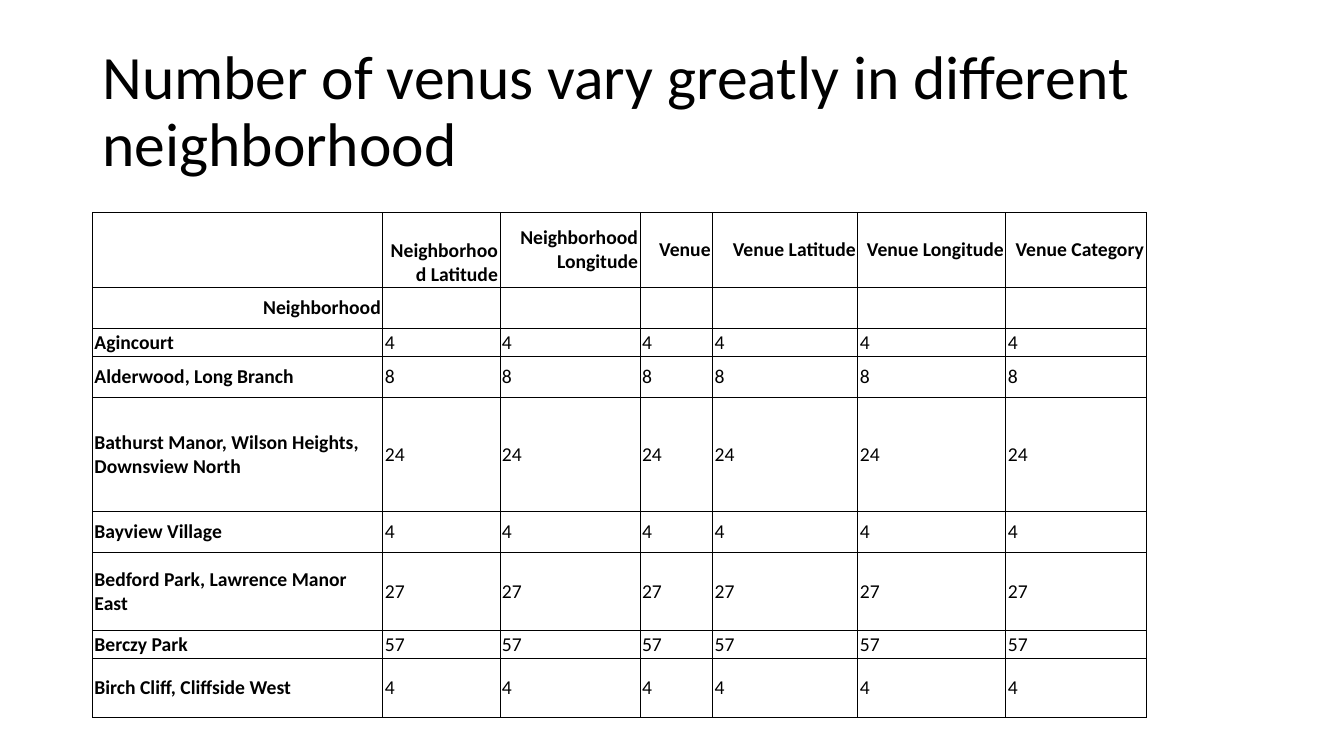
from dataclasses import dataclass

from lxml import etree
from pptx import Presentation
from pptx.dml.color import RGBColor
from pptx.enum.text import MSO_ANCHOR, PP_ALIGN
from pptx.oxml.ns import qn
from pptx.slide import Slide
from pptx.table import _Cell
from pptx.text.text import _Paragraph
from pptx.util import Cm, Pt

MIDDLE = MSO_ANCHOR.MIDDLE
LEFT, RIGHT = PP_ALIGN.LEFT, PP_ALIGN.RIGHT


@dataclass(frozen=True)
class Theme:
    font: str = "Calibri"
    ink: str = "000000"
    paper: str = "FFFFFF"
    title_size: float = 44
    table_size: float = 14
    border_width: float = 0.75


@dataclass(frozen=True)
class VenueRow:
    neighborhood: str
    venues: int
    height: float


THEME = Theme()
TITLE = "Number of venus vary greatly in different neighborhood"
HEADINGS = ["Neighborhood Latitude", "Neighborhood Longitude", "Venue",
            "Venue Latitude", "Venue Longitude", "Venue Category"]
INDEX_HEADING = "Neighborhood"
COLUMN_WIDTHS = [7.32, 2.95, 3.53, 1.83, 3.66, 3.73, 3.53]
HEADING_HEIGHTS = [1.5, 1.04]
VENUE_ROWS = [
    VenueRow("Agincourt", 4, 0.58),
    VenueRow("Alderwood, Long Branch", 8, 1.04),
    VenueRow("Bathurst Manor, Wilson Heights, Downsview North", 24, 2.87),
    VenueRow("Bayview Village", 4, 1.04),
    VenueRow("Bedford Park, Lawrence Manor East", 27, 1.96),
    VenueRow("Berczy Park", 57, 0.58),
    VenueRow("Birch Cliff, Cliffside West", 4, 1.5),
]
CELL_MARGIN = Cm(0.05)
LOWERED_MARGIN = Cm(0.65)  # sets the first heading one line lower


def add_run(paragraph: _Paragraph, text: str, size: float, bold: bool = False) -> None:
    run = paragraph.add_run()
    run.text = text
    run.font.name = THEME.font
    run.font.size = Pt(size)
    run.font.bold = bold
    run.font.color.rgb = RGBColor.from_string(THEME.ink)


def style_cell(cell: _Cell) -> None:
    """Give a cell thin borders on all sides and a plain fill."""
    properties = cell._tc.get_or_add_tcPr()
    for side in ("a:lnL", "a:lnR", "a:lnT", "a:lnB"):
        border = etree.SubElement(properties, qn(side), w=str(Pt(THEME.border_width)))
        fill = etree.SubElement(border, qn("a:solidFill"))
        etree.SubElement(fill, qn("a:srgbClr"), val=THEME.ink)
    cell.fill.solid()
    cell.fill.fore_color.rgb = RGBColor.from_string(THEME.paper)


def write_cell(cell: _Cell, text: str, bold: bool, align: PP_ALIGN) -> None:
    cell.vertical_anchor = MIDDLE
    cell.margin_left = cell.margin_right = CELL_MARGIN
    cell.margin_top = cell.margin_bottom = CELL_MARGIN
    paragraph = cell.text_frame.paragraphs[0]
    paragraph.alignment = align
    add_run(paragraph, text, THEME.table_size, bold)


def add_title(slide: Slide) -> None:
    title = slide.shapes.add_textbox(Cm(2.33), Cm(1.01), Cm(29.21), Cm(3.68)).text_frame
    title.word_wrap = True
    title.vertical_anchor = MIDDLE
    title.paragraphs[0].line_spacing = 0.9
    add_run(title.paragraphs[0], TITLE, THEME.title_size)


def add_venue_table(slide: Slide) -> None:
    heights = HEADING_HEIGHTS + [row.height for row in VENUE_ROWS]
    table = slide.shapes.add_table(
        len(heights), len(COLUMN_WIDTHS), Cm(2.33), Cm(5.36),
        Cm(sum(COLUMN_WIDTHS)), Cm(sum(heights))).table
    table.first_row = table.horz_banding = False
    for column, width in zip(table.columns, COLUMN_WIDTHS):
        column.width = Cm(width)
    for table_row, height in zip(table.rows, heights):
        table_row.height = Cm(height)
    for cell in table.iter_cells():
        style_cell(cell)

    # Two heading rows
    for column, heading in enumerate(HEADINGS, start=1):
        write_cell(table.cell(0, column), heading, True, RIGHT)
    table.cell(0, 1).margin_top = LOWERED_MARGIN
    write_cell(table.cell(1, 0), INDEX_HEADING, True, RIGHT)

    # One row per neighborhood, the same count in every column
    for index, row in enumerate(VENUE_ROWS, start=len(HEADING_HEIGHTS)):
        write_cell(table.cell(index, 0), row.neighborhood, True, LEFT)
        for column in range(1, len(COLUMN_WIDTHS)):
            write_cell(table.cell(index, column), str(row.venues), False, LEFT)


def main() -> None:
    presentation = Presentation()
    presentation.slide_width, presentation.slide_height = Cm(33.87), Cm(19.05)
    slide = presentation.slides.add_slide(presentation.slide_layouts[6])
    add_title(slide)
    add_venue_table(slide)
    presentation.save("out.pptx")


if __name__ == "__main__":
    main()
